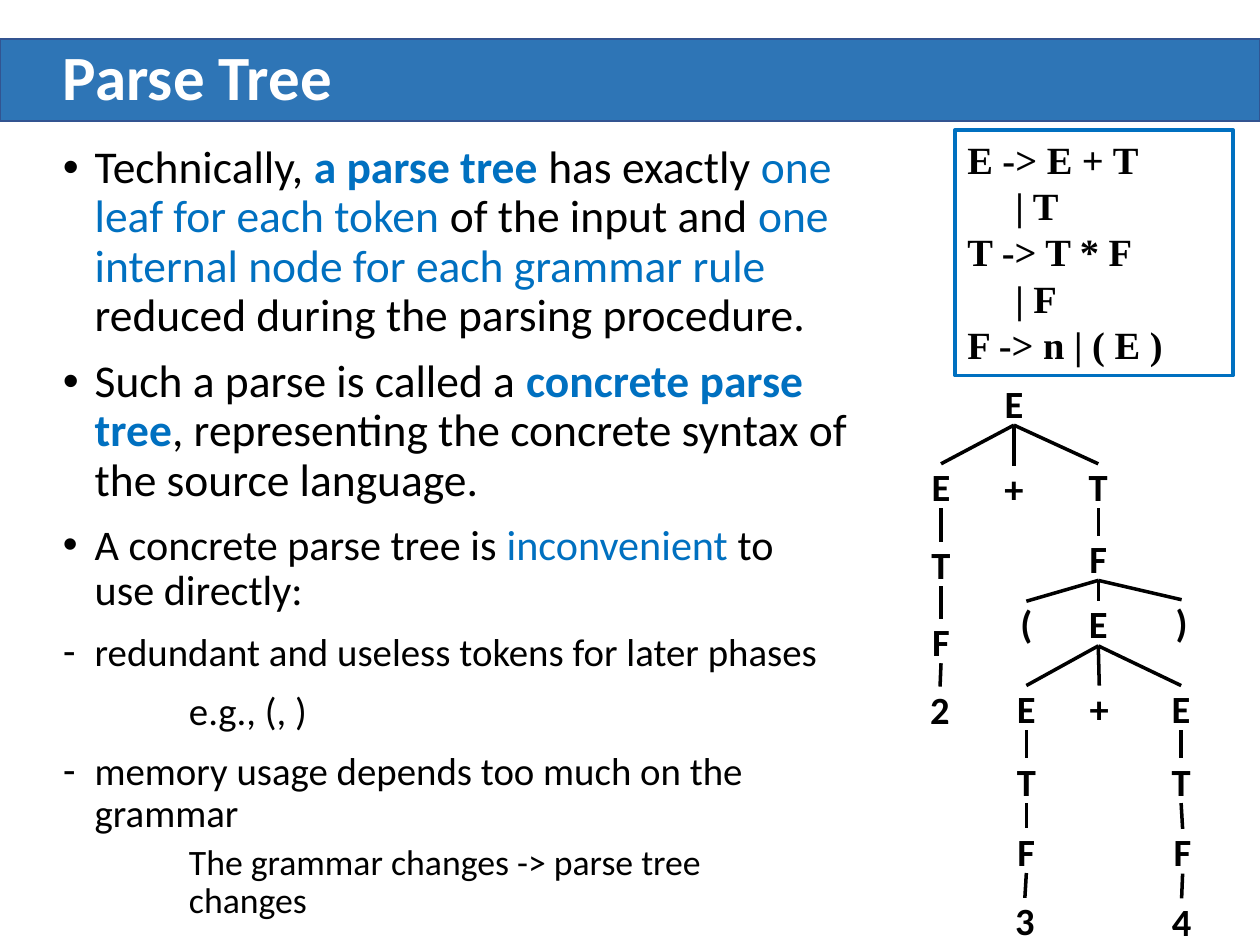
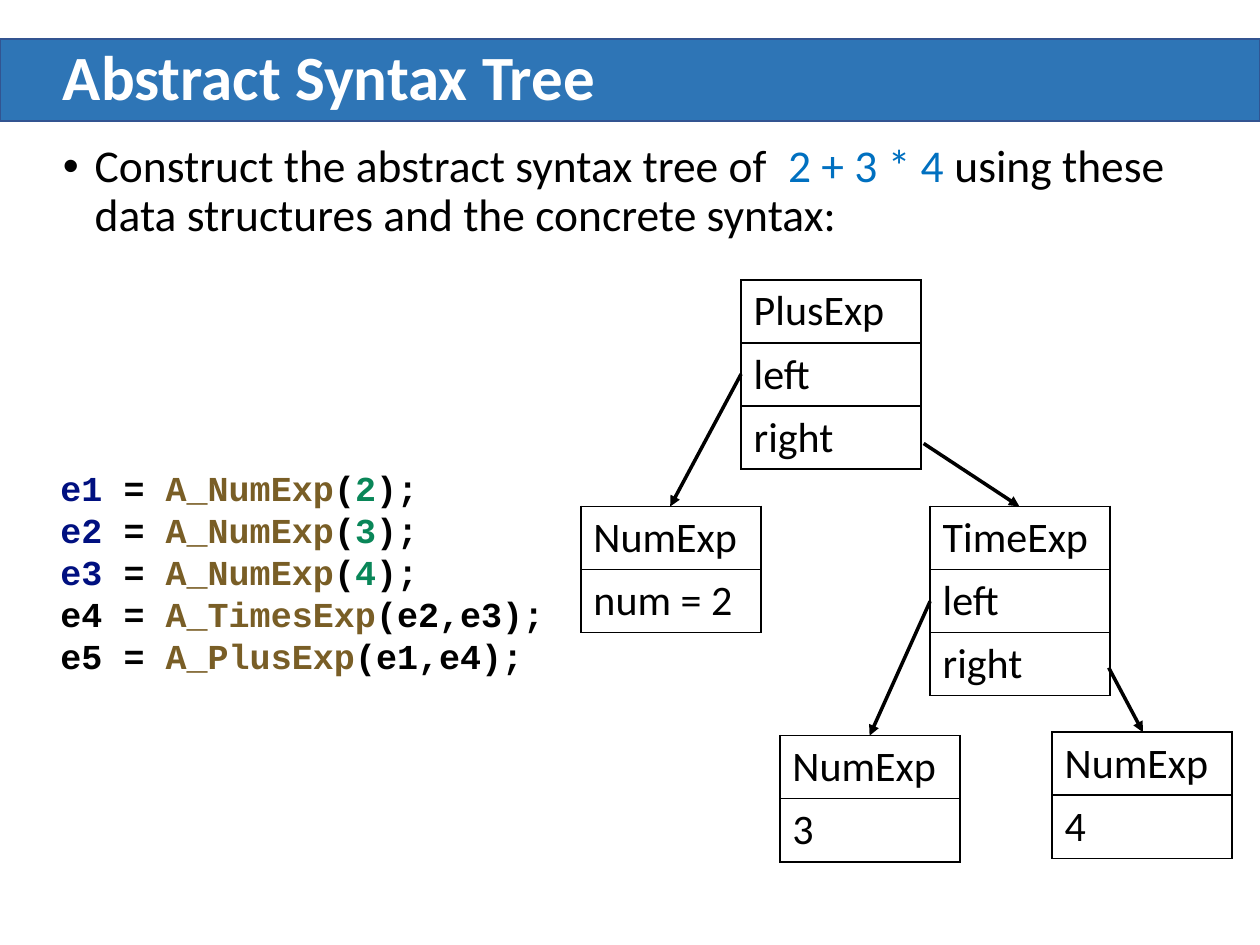
"""Build two slides on the parse tree and the abstract syntax tree."""
from lxml import etree
from pptx import Presentation
from pptx.dml.color import RGBColor
from pptx.enum.shapes import MSO_CONNECTOR, MSO_SHAPE
from pptx.enum.text import MSO_ANCHOR, PP_ALIGN
from pptx.oxml.ns import qn
from pptx.util import Cm, Pt

STRAIGHT = MSO_CONNECTOR.STRAIGHT
RECTANGLE = MSO_SHAPE.RECTANGLE
ROUNDED = MSO_SHAPE.ROUNDED_RECTANGLE
TOP, MIDDLE = MSO_ANCHOR.TOP, MSO_ANCHOR.MIDDLE
LEFT, CENTER = PP_ALIGN.LEFT, PP_ALIGN.CENTER
BLACK, WHITE, BLUE = "000000", "FFFFFF", "0070C0"
BAND, BAND_EDGE = "2E75B6", "325491"
NAME, CALL, NUMBER = "001080", "795E26", "098658"
colour_of = RGBColor.from_string


def write(frame, text, size=26, font="Calibri", colour=BLACK, bold=False, align=LEFT,
          spacing=1.0, before=0, indent=0, bullet=None):
    """Add a paragraph; text is a string or a list of (text, colour, bold)."""
    frame.word_wrap = True
    first = not frame.paragraphs[0].runs
    para = frame.paragraphs[0] if first else frame.add_paragraph()
    properties = para._p.get_or_add_pPr()
    properties.set("marL", str(Cm(indent)))
    properties.set("indent", str(-Cm(indent) if bullet else 0))
    para.alignment = align
    para.line_spacing = spacing
    para.space_before = Pt(0 if first else before)
    if bullet:
        etree.SubElement(properties, qn("a:buFont")).set("typeface", "Arial")
        etree.SubElement(properties, qn("a:buChar")).set("char", bullet)
    for words, shade, heavy in [(text, colour, bold)] if isinstance(text, str) else text:
        span = para.add_run()
        span.text = words
        span.font.name = font
        span.font.size = Pt(size)
        span.font.bold = heavy
        span.font.color.rgb = colour_of(shade)


def connect(page, start, end, arrow=False):
    """Draw a black line between two points given in centimetres."""
    line = page.shapes.add_connector(STRAIGHT, *map(Cm, start + end))
    line.line.width = Pt(2)
    line.line.color.rgb = colour_of(BLACK)
    if arrow:
        etree.SubElement(line.line._get_or_add_ln(), qn("a:tailEnd")).set("type", "triangle")
    etree.SubElement(line._element.spPr, qn("a:effectLst"))


deck = Presentation()
deck.slide_width, deck.slide_height = Cm(25.4), Cm(19.05)
pages = []
for title in ("Parse Tree", "Abstract Syntax Tree"):
    page = deck.slides.add_slide(deck.slide_layouts[6])
    band = page.shapes.add_shape(RECTANGLE, 0, Cm(0.79), deck.slide_width, Cm(1.65))
    band.shadow.inherit = False
    band.fill.solid()
    band.fill.fore_color.rgb = colour_of(BAND)
    band.line.color.rgb = colour_of(BAND_EDGE)
    band.line.width = Pt(1)
    box = page.shapes.add_textbox(Cm(1.02), Cm(0.79), Cm(23.47), Cm(1.65))
    box.text_frame.vertical_anchor = MIDDLE
    write(box.text_frame, title, size=36, colour=WHITE, bold=True, spacing=0.9)
    pages.append(page)
parse_page, syntax_page = pages

bullet_style = dict(spacing=0.9, before=10, indent=0.64, bullet="•")
dash_style = dict(bullet_style, bullet="-", size=22.2)

definition = parse_page.shapes.add_textbox(Cm(1.02), Cm(2.79), Cm(16.81), Cm(7.67)).text_frame
write(definition, [
    ("Technically, ", BLACK, False),
    ("a parse tree ", BLUE, True),
    ("has exactly ", BLACK, False),
    ("one leaf for each token ", BLUE, False),
    ("of the input and ", BLACK, False),
    ("one internal node for each grammar rule ", BLUE, False),
    ("reduced during the parsing procedure.", BLACK, False),
], **bullet_style)
write(definition, [
    ("Such a parse is called a ", BLACK, False),
    ("concrete parse tree", BLUE, True),
    (", representing the concrete syntax of the source language.", BLACK, False),
], **bullet_style)

drawbacks = parse_page.shapes.add_textbox(Cm(1.02), Cm(10.44), Cm(15.77), Cm(7.7)).text_frame
write(drawbacks, [
    ("A concrete parse tree is ", BLACK, False),
    ("inconvenient ", BLUE, False),
    ("to use directly:", BLACK, False),
], size=24.1, **bullet_style)
write(drawbacks, "redundant and useless tokens for later phases", **dash_style)
write(drawbacks, "e.g., (, )", size=22.2, spacing=0.9, before=10, indent=2.54)
write(drawbacks, "memory usage depends too much on the grammar", **dash_style)
write(drawbacks, "The grammar changes -> parse tree changes", size=20.4, spacing=0.9, before=5, indent=2.54)

tree_nodes = [
    ("E", None, 20.44, 7.67),
    ("E", 0, 18.97, 9.35),
    ("+", 0, 20.44, 9.4),
    ("T", 0, 22.14, 9.35),
    ("T", 1, 18.97, 10.92),
    ("F", 4, 18.97, 12.47),
    ("2", 5, 18.95, 13.84),
    ("F", 3, 22.14, 10.8),
    ("(", 7, 20.69, 12.12),
    ("E", 7, 22.14, 12.12),
    (")", 7, 23.82, 12.09),
    ("E", 9, 20.69, 13.82),
    ("+", 9, 22.16, 13.82),
    ("E", 9, 23.81, 13.82),
    ("T", 11, 20.69, 15.29),
    ("F", 14, 20.69, 16.7),
    ("3", 15, 20.66, 18.1),
    ("T", 13, 23.81, 15.29),
    ("F", 17, 23.84, 16.71),
    ("4", 18, 23.82, 18.11),
]
NODE_WIDTH, NODE_HEIGHT = 1.85, 0.9
for symbol, parent, center, top in tree_nodes:
    node = parse_page.shapes.add_shape(
        ROUNDED, Cm(center - NODE_WIDTH / 2), Cm(top), Cm(NODE_WIDTH), Cm(NODE_HEIGHT))
    node.shadow.inherit = False
    node.fill.background()
    node.line.fill.background()
    node.text_frame.vertical_anchor = MIDDLE
    write(node.text_frame, symbol, size=22, bold=True, align=CENTER)
    if parent is not None:
        parent_center, parent_top = tree_nodes[parent][2:]
        connect(parse_page, (parent_center, parent_top + NODE_HEIGHT), (center, top))

grammar = parse_page.shapes.add_shape(RECTANGLE, Cm(19.25), Cm(2.62), Cm(5.61), Cm(4.95))
grammar.shadow.inherit = False
grammar.fill.background()
grammar.line.color.rgb = colour_of(BLUE)
grammar.line.width = Pt(2)
grammar.text_frame.vertical_anchor = TOP
for rule in ("E -> E + T", "| T", "T -> T * F", "| F", "F -> n | ( E )"):
    write(grammar.text_frame, rule, size=22, font="Times New Roman", bold=True,
          indent=0.97 if rule.startswith("|") else 0)

task = syntax_page.shapes.add_textbox(Cm(1.02), Cm(2.77), Cm(23.47), Cm(2.6)).text_frame
write(task, [
    ("Construct the abstract syntax tree of  ", BLACK, False),
    ("2 + 3 * 4 ", BLUE, False),
    ("using these data structures and the concrete syntax:", BLACK, False),
], **bullet_style)

code = syntax_page.shapes.add_textbox(Cm(0.97), Cm(9.27), Cm(10.31), Cm(4.52)).text_frame
statements = [
    ("e1", NAME, "A_NumExp", "2", NUMBER),
    ("e2", NAME, "A_NumExp", "3", NUMBER),
    ("e3", NAME, "A_NumExp", "4", NUMBER),
    ("e4", BLACK, "A_TimesExp", "e2,e3", BLACK),
    ("e5", BLACK, "A_PlusExp", "e1,e4", BLACK),
]
for variable, variable_colour, call, arguments, argument_colour in statements:
    write(code, [
        (variable, variable_colour, True),
        (" = ", BLACK, True),
        (call, CALL, True),
        ("(", BLACK, True),
        (arguments, argument_colour, True),
        (");", BLACK, True),
    ], size=20, font="Courier New")

records = [
    (11.71, 10.21, ("NumExp", "num = 2")),
    (14.94, 5.64, ("PlusExp", "left", "right")),
    (18.75, 10.21, ("TimeExp", "left", "right")),
    (15.72, 14.83, ("NumExp", "3")),
    (21.21, 14.76, ("NumExp", "4")),
]
ROW_HEIGHT = 1.27
for left, top, fields in records:
    table = syntax_page.shapes.add_table(
        len(fields), 1, Cm(left), Cm(top), Cm(3.63), Cm(ROW_HEIGHT * len(fields))).table
    table.first_row = table.horz_banding = False
    for cell, field in zip(table.iter_cells(), fields):
        write(cell.text_frame, field, size=24)
        cell_properties = cell._tc.get_or_add_tcPr()
        for side in ("lnL", "lnR", "lnT", "lnB"):
            border = etree.SubElement(cell_properties, qn(f"a:{side}"), w=str(Pt(1)))
            border_fill = etree.SubElement(border, qn("a:solidFill"))
            etree.SubElement(border_fill, qn("a:srgbClr"), val=BLACK)
        cell.fill.background()

pointers = [
    ((14.94, 7.54), (13.51, 10.21)),
    ((18.62, 8.94), (20.55, 10.21)),
    ((18.75, 12.12), (17.53, 14.83)),
    ((22.35, 13.46), (23.04, 14.76)),
]
for start, end in pointers:
    connect(syntax_page, start, end, arrow=True)

deck.save("out.pptx")
